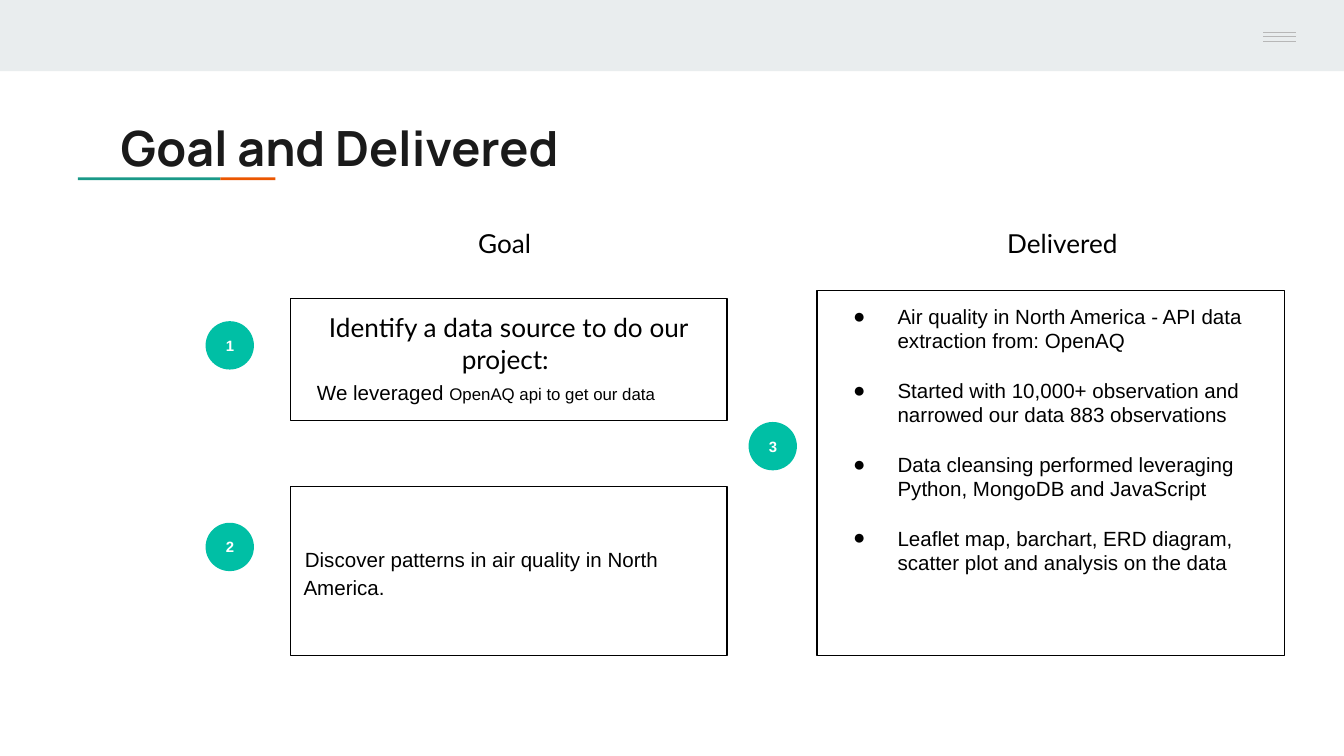
from lxml import etree
from pptx import Presentation
from pptx.dml.color import RGBColor
from pptx.enum.shapes import MSO_CONNECTOR, MSO_SHAPE
from pptx.enum.text import MSO_ANCHOR, PP_ALIGN
from pptx.oxml.ns import qn
from pptx.util import Inches, Pt

RECT, OVAL = MSO_SHAPE.RECTANGLE, MSO_SHAPE.OVAL
LINE = MSO_CONNECTOR.STRAIGHT
TOP, MIDDLE = MSO_ANCHOR.TOP, MSO_ANCHOR.MIDDLE
LEFT, CENTER = PP_ALIGN.LEFT, PP_ALIGN.CENTER

BLACK, WHITE, INK = "000000", "FFFFFF", "1A1A1A"
MIST, GRAY, MINT, TEAL, ORANGE = "E9EDEE", "B7B7B7", "00BFA5", "1A9988", "EB5600"


def color(code):
    return RGBColor.from_string(code)


class Deck:
    title = {"name": "Manrope", "size": Pt(26), "bold": True}
    head = {"name": "Lato", "size": Pt(14)}
    body = {"name": "Arial", "size": Pt(11)}
    small = {"name": "Arial", "size": Pt(9)}
    badge = {"name": "Arial", "size": Pt(8), "bold": True}

    def __init__(self, slide):
        self.slide = slide

    def shape(self, kind, x, y, w, h, fill=None, line=None):
        item = self.slide.shapes.add_shape(
            kind, Inches(x), Inches(y), Inches(w), Inches(h))
        item.shadow.inherit = False
        if fill:
            item.fill.solid()
            item.fill.fore_color.rgb = color(fill)
        else:
            item.fill.background()
        if line:
            item.line.color.rgb = color(line)
            item.line.width = Pt(0.75)
        else:
            item.line.fill.background()
        return item

    def rule(self, x, y, w):
        item = self.slide.shapes.add_connector(
            LINE, Inches(x), Inches(y), Inches(x + w), Inches(y))
        item.line.color.rgb = color(GRAY)
        item.line.width = Pt(0.75)
        etree.SubElement(item._element.spPr, qn("a:effectLst"))

    def frame(self, item, anchor=TOP):
        frame = item.text_frame
        margins = dict.fromkeys(("left", "top", "right", "bottom"), Inches(0.1))
        for side, size in margins.items():
            setattr(frame, f"margin_{side}", size)
        frame.word_wrap = True
        frame.vertical_anchor = anchor
        return frame

    def para(self, frame, runs, align=LEFT, tint=BLACK, indent=None, mark=None, **form):
        """Fill the empty first paragraph, or add one; runs are (text, style) pairs."""
        para = frame.paragraphs[0]
        if para.runs:
            para = frame.add_paragraph()
        para.alignment = align
        for key, value in form.items():
            setattr(para, key, value)
        props = para._p.get_or_add_pPr()
        if indent:
            for key, size in zip(("marL", "indent"), indent):
                props.set(key, str(Inches(size)))
        if mark:
            etree.SubElement(props, qn("a:buFont")).set("typeface", "Arial")
            etree.SubElement(props, qn("a:buChar")).set("char", mark)
        for text, style in runs:
            run = para.add_run()
            run.text = text
            for key, value in style.items():
                setattr(run.font, key, value)
            run.font.color.rgb = color(tint)

    def label(self, text, style, x, y, w, h, **form):
        box = self.slide.shapes.add_textbox(
            Inches(x), Inches(y), Inches(w), Inches(h))
        self.para(self.frame(box), [(text, style)], **form)

    def dot(self, text, x, y):
        item = self.shape(OVAL, x, y, 0.36, 0.36, MINT)
        self.para(self.frame(item, MIDDLE), [(text, self.badge)], CENTER, WHITE)

    def panel(self, x, y, w, h, anchor=TOP):
        return self.frame(self.shape(RECT, x, y, w, h, line=BLACK), anchor)


def main():
    show = Presentation()
    show.slide_width, show.slide_height = Inches(10), Inches(10 * 9 / 16)
    deck = Deck(show.slides.add_slide(show.slide_layouts[6]))

    deck.shape(RECT, 0, 0, 10, 0.53, MIST)
    for y in (0.24, 0.27, 0.31):
        deck.rule(9.4, y, 0.24)

    deck.shape(RECT, 0.58, 1.32, 1.06, 0.02, TEAL)
    deck.shape(RECT, 1.64, 1.32, 0.41, 0.02, ORANGE)
    deck.label("Goal and Delivered", deck.title, 0.8, 0.78, 8.41, 0.59, tint=INK)
    for text, x in (("Goal", 2.66), ("Delivered", 6.81)):
        deck.label(text, deck.head, x, 1.59, 2.19, 0.44, align=CENTER)

    for text, x, y in (("1", 1.53, 2.39), ("2", 1.53, 3.89), ("3", 5.57, 3.14)):
        deck.dot(text, x, y)

    source = deck.panel(2.16, 2.22, 3.25, 0.91)
    deck.para(source, [("Identify a data source to do our project: ", deck.head)], CENTER)
    deck.para(source, [("We leveraged ", deck.body),
                       ("OpenAQ api to get our data", deck.small)],
              indent=(0.1, 0), space_before=Pt(3))

    trend = deck.panel(2.16, 3.62, 3.25, 1.26, MIDDLE)
    deck.para(trend, [("Discover patterns in air quality in North America.", deck.body)],
              indent=(0, 0.01), line_spacing=1.15)

    work = deck.panel(6.08, 2.16, 3.48, 2.72)
    points = (
        ("Air quality in North America - API data extraction from: OpenAQ",),
        ("Started with 10,000+ observation and narrowed our data 883 observations",),
        ("Data cleansing performed leveraging", "Python, MongoDB and JavaScript"),
        ("Leaflet map, barchart, ERD diagram, scatter plot and analysis on the data",),
    )
    for rank, lines in enumerate(points):
        for step, text in enumerate(lines):
            lead = step == 0
            deck.para(work, [(text, deck.body)],
                      indent=(0.5, -0.33 if lead else 0), mark="●" if lead else None,
                      line_spacing=Pt(13.2), space_before=Pt(13.2 if rank and lead else 0))

    show.save("out.pptx")


if __name__ == "__main__":
    main()
